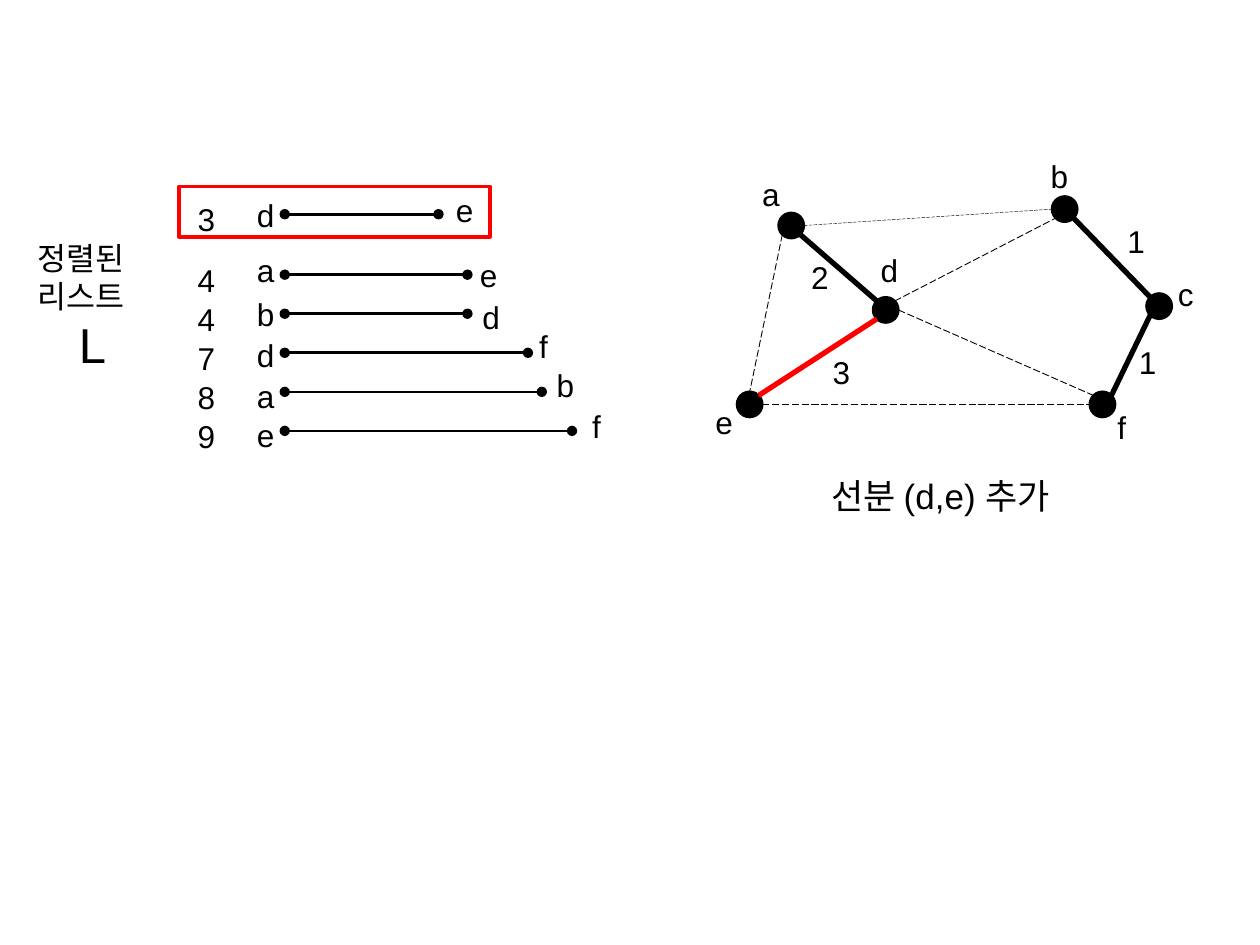
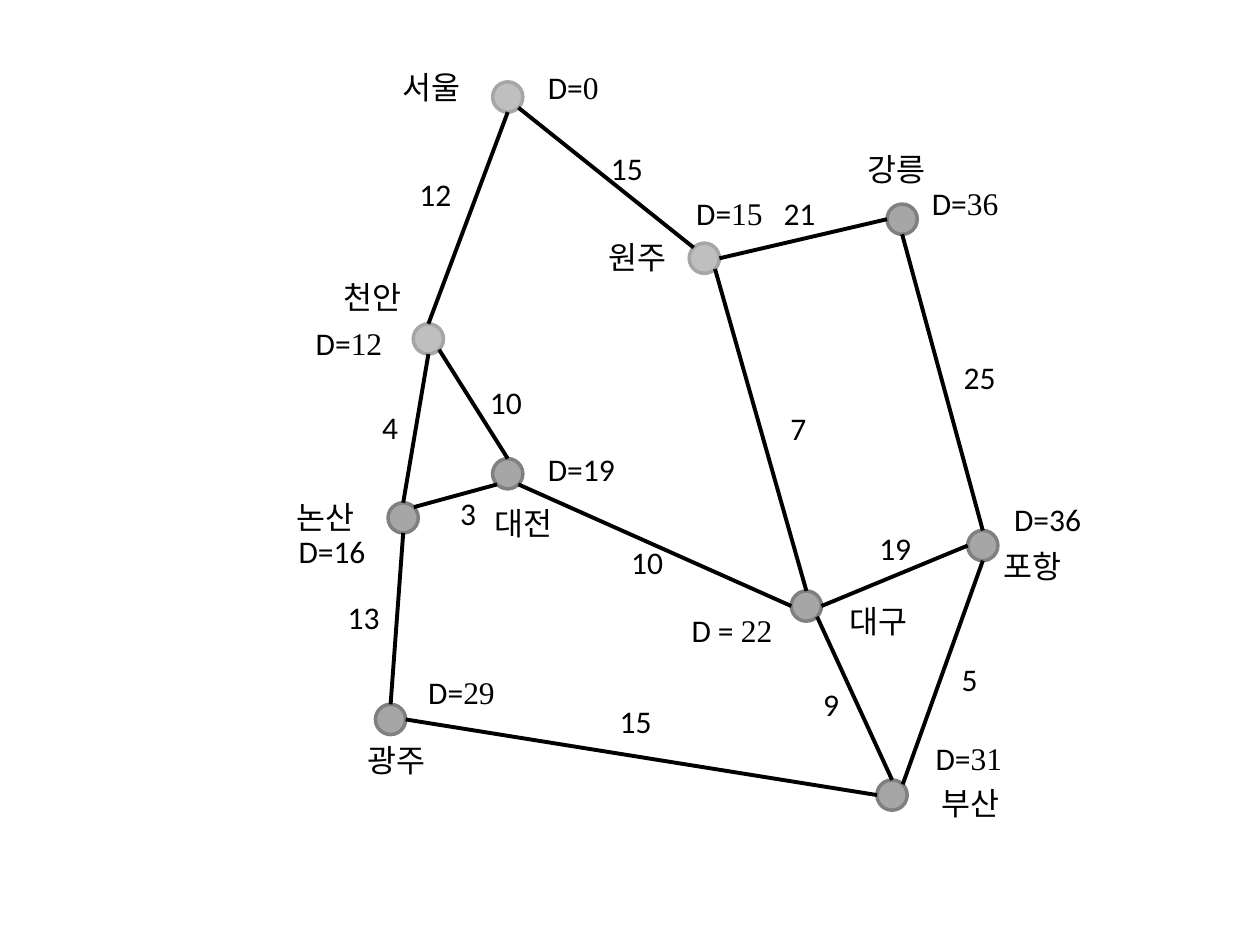
import collections
import math
import pptx
import pptx.dml.color
import pptx.enum.dml
import pptx.enum.shapes
import pptx.enum.text
import pptx.util
from lxml import etree

WIDE, HIGH = pptx.util.Inches(10), pptx.util.Inches(7.5)
CELL = WIDE / 10
BLACK, RED = "000000", "FF0000"
ROW = 0.4
TURNS = {"E": 0, "SE": 45, "S": 90, "SW": 135, "W": 180, "NW": 225, "N": 270, "NE": 315}
ALIGN = pptx.enum.text.PP_ALIGN
DASH = pptx.enum.dml.MSO_LINE.LONG_DASH
FORMS = pptx.enum.shapes.MSO_SHAPE

Box = collections.namedtuple("Box", "left top")
Node = collections.namedtuple("Node", "x y radius")


def cells(count):
    """Turn grid cells into a length."""
    return pptx.util.Emu(round(count * CELL))


def color(code):
    """Turn a hex string into a colour."""
    return pptx.dml.color.RGBColor.from_string(code)


def place(box, x, y):
    """Give the slide position of a point in a box."""
    return cells(box.left + x), cells(box.top + y)


def shape(slide, box, kind, x, y, wide, high, fill, edge, weight):
    """Draw one outlined preset shape."""
    form = slide.shapes.add_shape(kind, *place(box, x, y), cells(wide), cells(high))
    form.shadow.inherit = False
    if fill:
        form.fill.solid()
        form.fill.fore_color.rgb = color(fill)
    else:
        form.fill.background()
    form.line.color.rgb = color(edge)
    form.line.width = pptx.util.Pt(weight)


def dot(slide, box, node, fill, edge, weight):
    """Draw a graph node as a circle about its centre."""
    x, y, radius = node
    shape(slide, box, FORMS.OVAL, x - radius, y - radius, 2 * radius, 2 * radius,
          fill, edge, weight)


def line(slide, box, start, end, weight, hue=BLACK, dash=None, ends=()):
    """Draw a straight line, with round ends if asked."""
    link = slide.shapes.add_connector(pptx.enum.shapes.MSO_CONNECTOR.STRAIGHT,
                                      *place(box, *start), *place(box, *end))
    link.line.color.rgb = color(hue)
    link.line.width = pptx.util.Pt(weight)
    if dash:
        link.line.dash_style = dash
    stroke = link.line._get_or_add_ln()
    for tag in ends:
        etree.SubElement(stroke, pptx.oxml.ns.qn(tag), type="oval")
    etree.SubElement(link._element.spPr, pptx.oxml.ns.qn("a:effectLst"))


def rim(node, side):
    """Find the point of a node's rim on a compass side."""
    turn = math.radians(TURNS[side])
    return node.x + node.radius * math.cos(turn), node.y + node.radius * math.sin(turn)


def edge(slide, box, nodes, first, out, last, into, weight, **style):
    """Join two nodes from rim to rim."""
    line(slide, box, rim(nodes[first], out), rim(nodes[last], into), weight, **style)


def style(para, face, size, align):
    """Set the look of a paragraph."""
    para.alignment = align
    para.font.name = face
    para.font.size = pptx.util.Pt(size)
    para.font.color.rgb = color(BLACK)


def label(slide, box, x, y, wide, text, face, size=18, align=ALIGN.LEFT, wrap=True,
          high=ROW):
    """Write one text box and return its frame."""
    frame = slide.shapes.add_textbox(*place(box, x, y), cells(wide), cells(high)).text_frame
    frame.word_wrap = wrap
    frame.auto_size = pptx.enum.text.MSO_AUTO_SIZE.SHAPE_TO_FIT_TEXT
    para = frame.paragraphs[0]
    para.add_run().text = text
    style(para, face, size, align)
    return frame


def sign(slide, box, x, y, text):
    """Write a single letter or digit."""
    label(slide, box, x, y, 0.28 if text == "f" else 0.34, text, "Arial", wrap=False)


def queue(slide, box):
    """Draw the sorted list of edges with its first row framed."""
    frame = label(slide, box, 0.2, 0.85, 1.07, "정렬된 리스트", "Arial", high=1.18)
    para = frame.add_paragraph()
    para.add_run().text = "L"
    style(para, "Arial", 28, ALIGN.CENTER)
    rows = [
        ("3", "d", 0.19, "e", 3.48, 0.04, 0.23),
        ("4", "a", 0.24, "e", 3.71, 0, 0.2),
        ("4", "b", 0.2, "d", 3.71, 0.02, 0.17),
        ("7", "d", 0.18, "f", 4.19, -0.01, 0.25),
        ("8", "a", 0.17, "b", 4.3, 0.02, 0.25),
        ("9", "e", 0.17, "f", 4.54, 0.06, 0.24),
    ]
    for i, (cost, first, lift, last, stop, shift, rise) in enumerate(rows):
        y = 0.87 + 0.31 * i if i else 0.7
        line(slide, box, (stop, y), (2.26, y), 1.5, ends=("a:headEnd", "a:tailEnd"))
        sign(slide, box, 1.47, y - 0.16, cost)
        sign(slide, box, 1.94, y - lift, first)
        sign(slide, box, stop + shift, y - rise, last)
    shape(slide, box, FORMS.RECTANGLE, 1.42, 0.48, 2.47, ROW, None, RED, 2)


def tree(slide, box):
    """Draw the graph with the chosen edges in bold."""
    marks = {
        "a": (1.28, 0.79, 0.95, 0.34),
        "b": (3.45, 0.66, 3.24, 0.2),
        "c": (4.2, 1.43, 4.25, 1.13),
        "d": (2.03, 1.46, 1.89, 0.94),
        "e": (0.95, 2.21, 0.58, 2.15),
        "f": (3.75, 2.21, 3.77, 2.19),
    }
    nodes = {name: Node(x, y, 0.1) for name, (x, y, *_) in marks.items()}
    for name, (_, _, x, y) in marks.items():
        dot(slide, box, nodes[name], BLACK, BLACK, 1.5)
        sign(slide, box, x, y, name)
    for first, out, last, into in [("a", "SE", "d", "NW"), ("c", "NW", "b", "SE"),
                                   ("f", "NE", "c", "SW")]:
        edge(slide, box, nodes, first, out, last, into, 3)
    edge(slide, box, nodes, "d", "SW", "e", "NE", 3, hue=RED)
    for first, out, last, into, weight in [
            ("a", "SW", "e", "N", 0.5), ("d", "E", "f", "NW", 0.5),
            ("e", "E", "f", "W", 0.5), ("a", "E", "b", "W", 0.25),
            ("d", "NE", "b", "SW", 0.5)]:
        edge(slide, box, nodes, first, out, last, into, weight, dash=DASH)
    for x, y, cost in [(3.85, 0.71, "1"), (3.94, 1.67, "1"), (1.34, 1, "2"),
                       (1.51, 1.75, "3")]:
        sign(slide, box, x, y, cost)
    label(slide, box, 1.5, 2.72, 2.1, "선분 (d,e) 추가", "Arial", 20, high=0.44)


def towns(slide, box):
    """Draw the road map with the distance found for each town."""
    near, far = ("BFBFBF", "A6A6A6"), ("A6A6A6", "808080")
    serif, plain = "Times New Roman", "Calibri"
    mid, left = ALIGN.CENTER, ALIGN.LEFT
    marks = [
        ("서울 ", 3.03, 0.77, near, (2.06, 0.49, 0.79),
         (3.17, 0.49, 0.76, "D=", "0", serif, mid)),
        ("천안 ", 2.4, 2.69, near, (1.59, 2.16, 0.79),
         (1.39, 2.52, 0.76, "D=", "12", serif, mid)),
        ("원주 ", 4.59, 2.05, near, (3.69, 1.84, 0.79),
         (4.41, 1.49, 0.76, "D=", "15", serif, mid)),
        ("강릉", 6.16, 1.74, far, (5.58, 1.14, 1.07),
         (6.15, 1.41, 1.02, "D=", "36", serif, mid)),
        ("대전", 3.03, 3.76, far, (2.76, 3.95, 0.79),
         (3.25, 3.52, 0.79, "D=", "19", plain, left)),
        ("논산", 2.2, 4.11, far, (1.09, 3.9, 0.99),
         (0.89, 4.17, 1.49, "D=", "16", plain, mid)),
        ("광주", 2.1, 5.71, far, (1.48, 5.83, 1.33),
         (2.3, 5.29, 1.01, "D=", "29", serif, left)),
        ("대구", 5.4, 4.81, far, (5.58, 4.73, 0.79),
         (4.39, 4.8, 1.43, "D = ", "22", serif, left)),
        ("포항", 6.8, 4.33, far, (6.8, 4.29, 0.79),
         (6.95, 3.92, 1.57, "D=", "36", plain, left)),
        ("부산", 6.08, 6.31, far, (6.22, 6.17, 0.97),
         (6.12, 5.82, 1.14, "D=", "31", serif, mid)),
    ]
    nodes = {}
    for name, x, y, look, spot, (left_x, top, wide, lead, cost, face, align) in marks:
        node = nodes[name.strip()] = Node(x, y, 0.12)
        dot(slide, box, node, *look, 2)
        label(slide, box, *spot, name, plain, align=mid)
        if face == plain:
            label(slide, box, left_x, top, wide, lead + cost, plain, align=align)
        else:
            frame = label(slide, box, left_x, top, wide, lead, plain, align=align)
            run = frame.paragraphs[0].add_run()
            run.text = cost
            run.font.name = face
    roads = [
        ("서울", "S", "천안", "N", "12", 2.16, 1.34),
        ("대구", "W", "대전", "SE", "10", 3.84, 4.26),
        ("대구", "N", "원주", "SE", "7", 5.04, 3.2),
        ("포항", "W", "대구", "E", "19", 5.81, 4.15),
        ("부산", "N", "대구", "SE", "9", 5.3, 5.39),
        ("부산", "W", "광주", "E", "15", 3.75, 5.52),
        ("대전", "N", "천안", "SE", "10", 2.72, 2.99),
        ("대전", "SW", "논산", "NE", "3", 2.42, 3.87),
        ("광주", "N", "논산", "S", "13", 1.59, 4.7),
        ("강릉", "W", "원주", "E", "21", 5.05, 1.49),
        ("논산", "N", "천안", "S", "4", 1.8, 3.19),
        ("원주", "NW", "서울", "SE", "15", 3.68, 1.13),
        ("포항", "N", "강릉", "S", "25", 6.48, 2.79),
        ("부산", "NE", "포항", "S", "5", 6.4, 5.19),
    ]
    for first, out, last, into, cost, x, y in roads:
        edge(slide, box, nodes, first, out, last, into, 2.25)
        label(slide, box, x, y, 0.59, cost, plain, align=mid)


def main():
    """Build both slides and save them."""
    deck = pptx.Presentation()
    deck.slide_width, deck.slide_height = WIDE, HIGH
    blank = deck.slide_layouts[6]
    slide = deck.slides.add_slide(blank)
    queue(slide, Box(0, 1))
    tree(slide, Box(5, 1))
    towns(deck.slides.add_slide(blank), Box(1, 0))
    deck.save("out.pptx")


if __name__ == "__main__":
    main()
